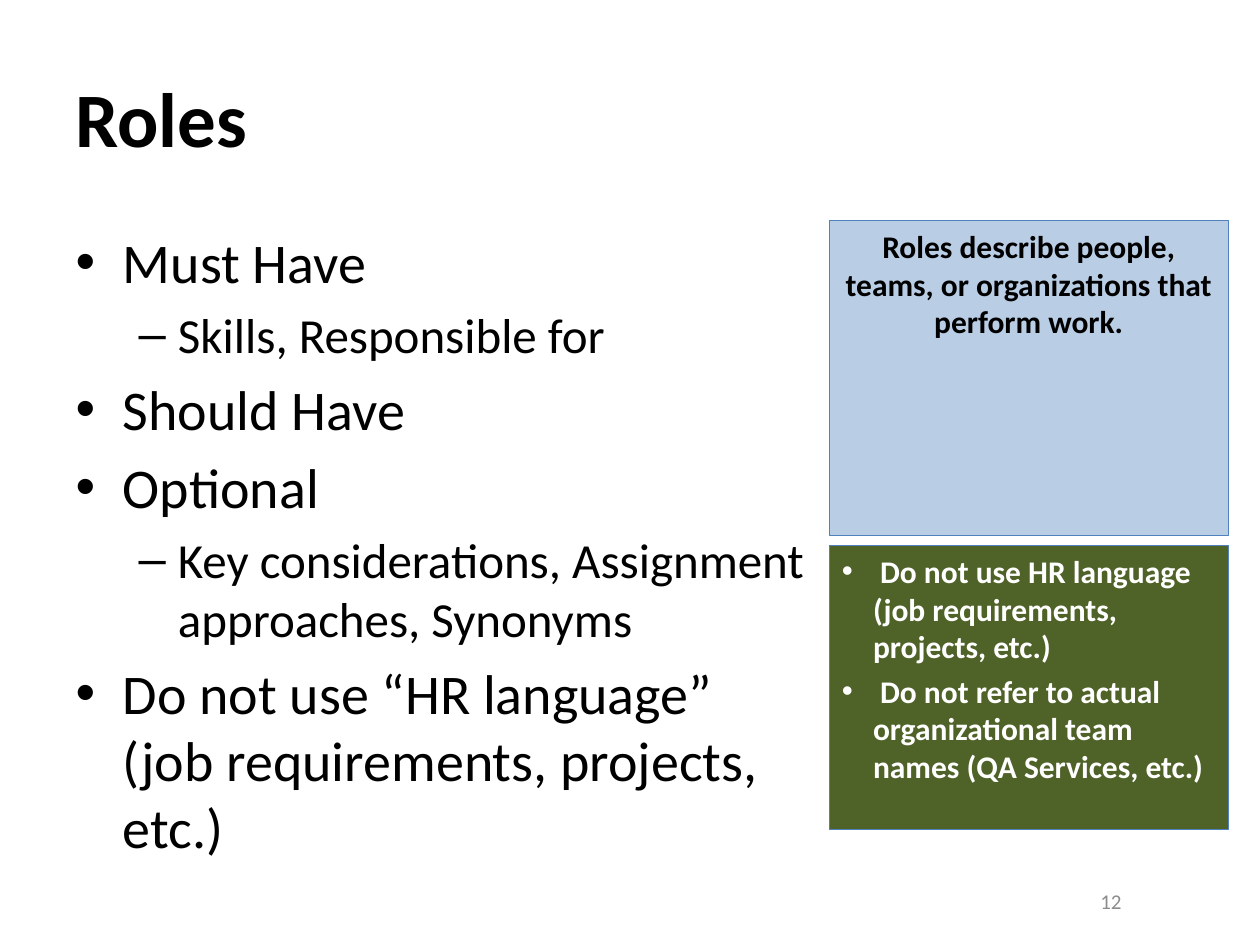
from dataclasses import dataclass

from lxml import etree
from pptx import Presentation
from pptx.dml.color import RGBColor
from pptx.enum.shapes import MSO_SHAPE
from pptx.enum.text import MSO_ANCHOR, MSO_AUTO_SIZE, PP_ALIGN
from pptx.oxml.ns import qn
from pptx.util import Cm, Pt

RECTANGLE = MSO_SHAPE.RECTANGLE
TOP, MIDDLE = MSO_ANCHOR.TOP, MSO_ANCHOR.MIDDLE
LEFT, CENTER, RIGHT = PP_ALIGN.LEFT, PP_ALIGN.CENTER, PP_ALIGN.RIGHT
NO_AUTOFIT = MSO_AUTO_SIZE.NONE


@dataclass(frozen=True)
class Theme:
    """Hold the colours, font and type sizes of the slide."""
    font: str = "Calibri"
    black: str = "000000"
    white: str = "FFFFFF"
    grey: str = "8C8C8C"
    blue: str = "B9CDE5"
    green: str = "4F6228"
    outline: str = "4F81BD"
    title: int = 44
    levels: tuple = (32, 28)
    panel: int = 18
    number: int = 12


THEME = Theme()
MARGIN = 1.27
CONTENT_TOP = 4.45
PANEL_LEFT, PANEL_WIDTH = 16.72, 8.04
PANEL_INDENT = 0.63
OUTLINE_ITEMS = [
    (0, "Must Have"),
    (1, "Skills, Responsible for"),
    (0, "Should Have"),
    (0, "Optional"),
    (1, "Key considerations, Assignment approaches, Synonyms"),
    (0, "Do not use “HR language” (job requirements, projects, etc.)"),
]
DEFINITION = ["Roles describe people, teams, or organizations that perform work."]
CAUTIONS = [
    " Do not use HR language (job requirements, projects, etc.)",
    " Do not refer to actual organizational team names (QA Services, etc.)",
]


def place(shape, left, top, width, height):
    """Move and size a shape in centimetres."""
    shape.left, shape.top = Cm(left), Cm(top)
    shape.width, shape.height = Cm(width), Cm(height)


def format_paragraph(paragraph, size, color, bold=False, alignment=LEFT):
    """Align a paragraph and format its runs."""
    paragraph.alignment = alignment
    for run in paragraph.runs:
        run.font.name = THEME.font
        run.font.size = Pt(size)
        run.font.bold = bold
        run.font.color.rgb = RGBColor.from_string(color)


def add_bullet(paragraph, indent):
    """Give a paragraph a round bullet with a hanging indent."""
    properties = paragraph._p.get_or_add_pPr()
    properties.set("marL", str(Cm(indent)))
    properties.set("indent", str(-Cm(indent)))
    etree.SubElement(properties, qn("a:buFont"), typeface="Arial")
    etree.SubElement(properties, qn("a:buChar"), char="•")


def fill_title(slide, text):
    """Write the slide title."""
    title = slide.shapes.title
    place(title, MARGIN, 0.76, 22.86, 3.18)
    frame = title.text_frame
    frame.text = text
    frame.auto_size = NO_AUTOFIT
    frame.vertical_anchor = MIDDLE
    format_paragraph(frame.paragraphs[0], THEME.title, THEME.black, bold=True)


def fill_outline(slide, items):
    """Write the two-level list in the body placeholder."""
    body = slide.placeholders[1]
    place(body, MARGIN, CONTENT_TOP, 15.24, 12.27)
    frame = body.text_frame
    frame.text = "\n".join(text for _, text in items)
    frame.auto_size = NO_AUTOFIT
    for paragraph, (level, _) in zip(frame.paragraphs, items):
        paragraph.level = level
        format_paragraph(paragraph, THEME.levels[level], THEME.black)


def add_panel(slide, top, height, lines, fill, color, bulleted=False):
    """Add a coloured panel with bold text."""
    panel = slide.shapes.add_shape(
        RECTANGLE, Cm(PANEL_LEFT), Cm(top), Cm(PANEL_WIDTH), Cm(height))
    panel.shadow.inherit = False
    panel.fill.solid()
    panel.fill.fore_color.rgb = RGBColor.from_string(fill)
    panel.line.color.rgb = RGBColor.from_string(THEME.outline)
    panel.line.width = Pt(0.75)
    frame = panel.text_frame
    frame.text = "\n".join(lines)
    frame.word_wrap = True
    frame.vertical_anchor = TOP
    for paragraph in frame.paragraphs:
        paragraph.space_before = Pt(THEME.panel * 0.2)
        format_paragraph(paragraph, THEME.panel, color, bold=True,
                         alignment=LEFT if bulleted else CENTER)
        if bulleted:
            add_bullet(paragraph, PANEL_INDENT)


def add_page_number(slide, text):
    """Add the page number at the lower right."""
    box = slide.shapes.add_textbox(Cm(18.21), Cm(17.65), Cm(4.65), Cm(1.02))
    frame = box.text_frame
    frame.text = text
    frame.word_wrap = True
    frame.vertical_anchor = MIDDLE
    format_paragraph(frame.paragraphs[0], THEME.number, THEME.grey,
                     alignment=RIGHT)


def main():
    """Build and save the slide."""
    presentation = Presentation()
    presentation.slide_width, presentation.slide_height = Cm(25.4), Cm(19.05)
    slide = presentation.slides.add_slide(presentation.slide_layouts[1])
    fill_title(slide, "Roles")
    add_page_number(slide, "12")
    add_panel(slide, CONTENT_TOP, 6.35, DEFINITION, THEME.blue, THEME.black)
    fill_outline(slide, OUTLINE_ITEMS)
    add_panel(slide, 11, 5.72, CAUTIONS, THEME.green, THEME.white,
              bulleted=True)
    presentation.save("out.pptx")


main()
